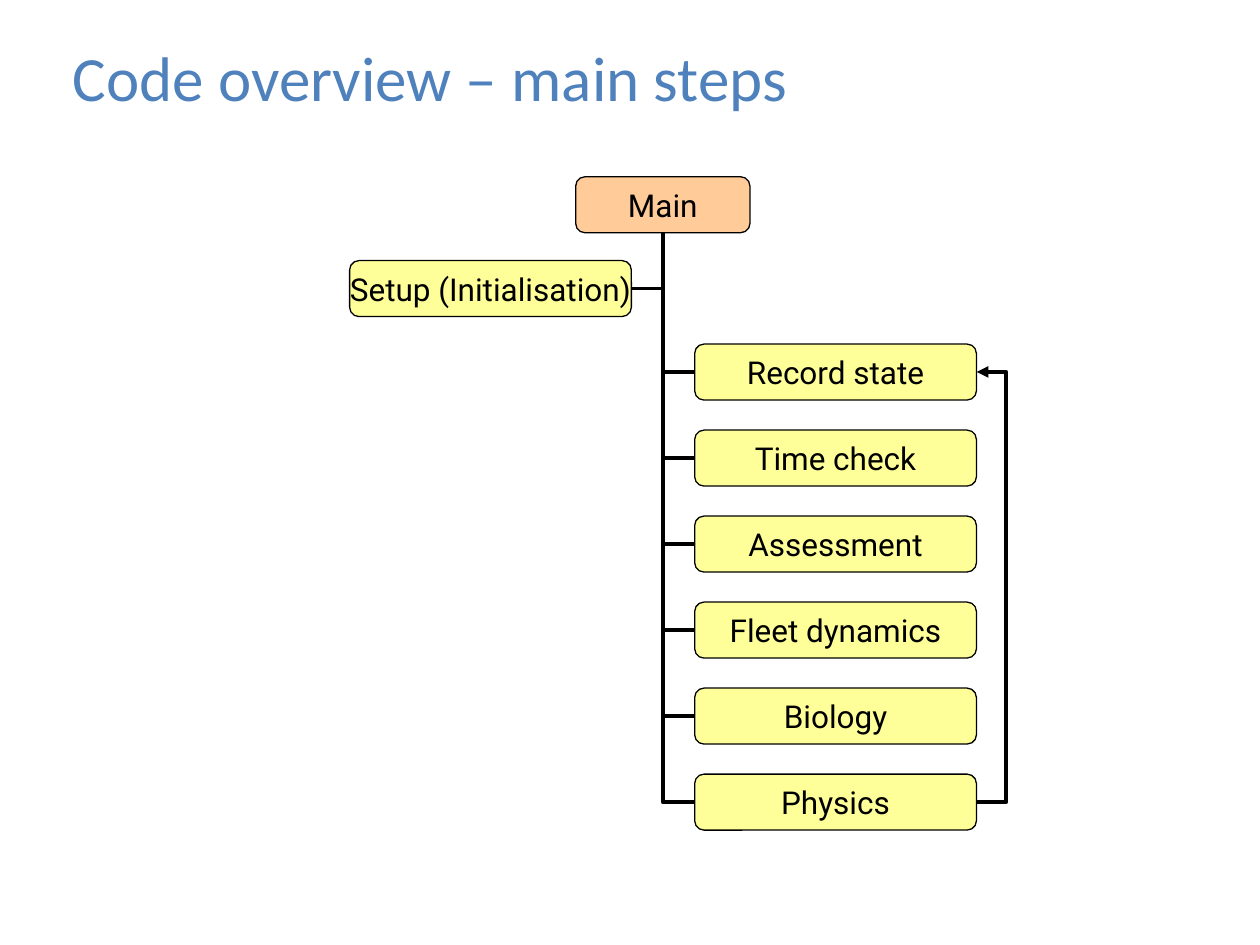
from lxml import etree
from pptx import Presentation
from pptx.dml.color import RGBColor
from pptx.enum.shapes import MSO_CONNECTOR as Connector, MSO_SHAPE as Shape
from pptx.enum.text import MSO_ANCHOR as Anchor, PP_ALIGN as Align
from pptx.oxml.ns import qn
from pptx.util import Pt

BLACK = RGBColor(0x00, 0x00, 0x00)
BLUE = RGBColor(0x4F, 0x81, 0xBD)
ORANGE = RGBColor(0xFF, 0xCC, 0x99)
YELLOW = RGBColor(0xFF, 0xFF, 0x99)

STEPS = ["Record state", "Time check", "Assessment",
         "Fleet dynamics", "Biology", "Physics"]
BOX_W, BOX_H = 161, 32
STEP_X, STEP_Y, PITCH = 397, 196.6, 49.15
LEFT, BOTTOM, RIGHT = 1, 2, 3  # connection sites of a box


def add_text(tf, text, font, size, color):
    p = tf.paragraphs[0]
    r = p.add_run()
    r.text = text
    r.font.name = font
    r.font.size = Pt(size)
    r.font.color.rgb = color
    return p


def add_title(s, text):
    tf = s.shapes.add_textbox(Pt(34.6), Pt(18.7), Pt(608.4), Pt(51)).text_frame
    tf.word_wrap = True
    add_text(tf, text, "Calibri", 36, BLUE)


def add_box(s, text, x, y, w=BOX_W, fill=YELLOW):
    sp = s.shapes.add_shape(Shape.ROUNDED_RECTANGLE, Pt(x), Pt(y), Pt(w), Pt(BOX_H))
    sp.shadow.inherit = False
    sp.fill.solid()
    sp.fill.fore_color.rgb = fill
    sp.line.color.rgb = BLACK
    sp.line.width = Pt(0.75)
    tf = sp.text_frame
    tf.word_wrap = False
    tf.vertical_anchor = Anchor.MIDDLE
    tf.margin_left = tf.margin_right = Pt(6.5)
    tf.margin_top = tf.margin_bottom = Pt(3)
    add_text(tf, text, "Roboto", 18, BLACK).alignment = Align.CENTER
    return sp


def add_elbow(s, x1=0, y1=0, x2=0, y2=0):
    line = s.shapes.add_connector(Connector.ELBOW, Pt(x1), Pt(y1), Pt(x2), Pt(y2))
    line.line.color.rgb = BLACK
    line.line.width = Pt(2.25)
    etree.SubElement(line._element.spPr, qn("a:effectLst"))
    return line


def add_branch(s, box, site, parent):
    """Single-bend line from the side of a box to the bottom of its parent."""
    line = add_elbow(s)
    line.begin_connect(box, site)
    line.end_connect(parent, BOTTOM)
    line._element.spPr.find(qn("a:prstGeom")).set("prst", "bentConnector2")


def add_loop(s, x, y_from, y_to, reach):
    """Arrow that leaves to the right and returns to the same edge."""
    width = 0.12  # the bend is measured as a multiple of the width
    line = add_elbow(s, x, y_from, x + width, y_to)
    guides = line._element.spPr.find(qn("a:prstGeom")).get_or_add_avLst()
    etree.SubElement(guides, qn("a:gd"), name="adj1",
                     fmla=f"val {round(reach / width * 100000)}")
    ln = line.line._get_or_add_ln()
    etree.SubElement(ln, qn("a:tailEnd"), type="triangle")


def main():
    prs = Presentation()
    prs.slide_width, prs.slide_height = Pt(720), Pt(540)
    s = prs.slides.add_slide(prs.slide_layouts[6])

    add_title(s, "Code overview – main steps")

    # Main routine and its setup
    root = add_box(s, "Main", 329, 101, 99.6, ORANGE)
    setup = add_box(s, "Setup (Initialisation)", 199.8, 148.9)
    add_branch(s, setup, RIGHT, root)

    # Steps of the main loop
    for i, name in enumerate(STEPS):
        step = add_box(s, name, STEP_X, STEP_Y + i * PITCH)
        add_branch(s, step, LEFT, root)

    # Return from the last step to the first
    first = STEP_Y + BOX_H / 2
    add_loop(s, STEP_X + BOX_W, first + (len(STEPS) - 1) * PITCH, first, 18)

    prs.save("out.pptx")


if __name__ == "__main__":
    main()
